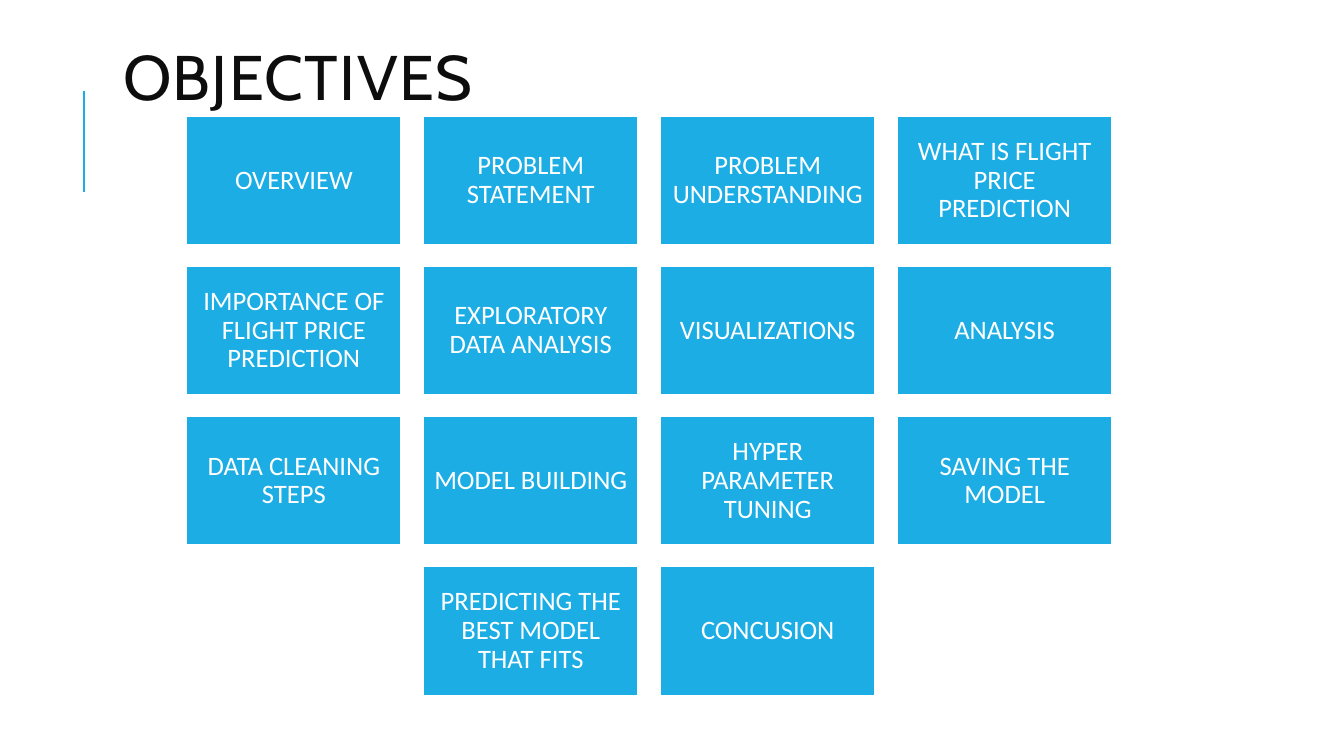
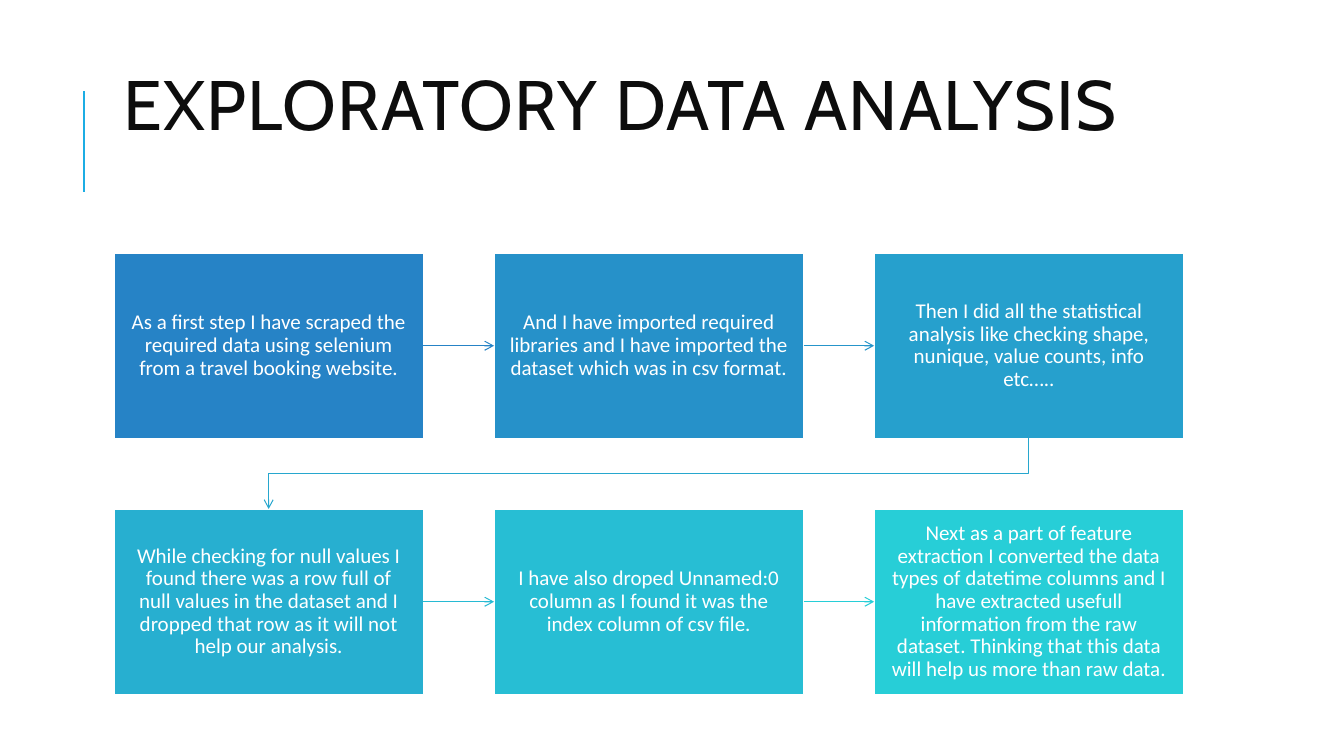
from dataclasses import dataclass

from lxml.etree import SubElement
from pptx import Presentation
from pptx.dml.color import RGBColor
from pptx.enum.shapes import MSO_CONNECTOR, MSO_SHAPE
from pptx.enum.text import MSO_ANCHOR, PP_ALIGN
from pptx.oxml.ns import qn
from pptx.util import Inches, Pt


@dataclass(frozen=True)
class Theme:
    accent: str = "1CADE4"
    ink: str = "0D0D0D"
    white: str = "FFFFFF"
    step_fills: tuple = ("2683C6", "2691C9", "26A0CD", "27AFD0", "27BED4", "27CED7")
    arrow_lines: tuple = ("2683C6", "2695CA", "27A7CE", "27BAD3", "27CED7")
    title_font: str = "Cabin"
    body_font: str = "Calibri"
    topic_size: int = 19
    step_size: int = 15
    bar_width: float = 1.5
    border_width: float = 1.25
    arrow_width: float = 0.75


theme = Theme()


def add_box(page, left, top, width, height, text, fill, size, margin):
    box = page.shapes.add_shape(
        MSO_SHAPE.RECTANGLE, Inches(left), Inches(top), Inches(width), Inches(height))
    box.shadow.inherit = False
    box.fill.solid()
    box.fill.fore_color.rgb = RGBColor.from_string(fill)
    box.line.color.rgb = RGBColor.from_string(theme.white)
    box.line.width = Pt(theme.border_width)
    frame = box.text_frame
    frame.word_wrap = True
    frame.vertical_anchor = MSO_ANCHOR.MIDDLE
    frame.margin_left = frame.margin_right = Inches(margin)
    frame.margin_top = frame.margin_bottom = Inches(margin)
    frame.text = text
    para = frame.paragraphs[0]
    para.alignment = PP_ALIGN.CENTER
    para.line_spacing = 0.9
    para.font.name = theme.body_font
    para.font.size = Pt(size)
    para.font.color.rgb = RGBColor.from_string(theme.white)
    return box


def style_line(line_shape, colour, width, arrow=True):
    """Colour a connector or open outline, remove its shadow and add an arrowhead."""
    line_shape.line.color.rgb = RGBColor.from_string(colour)
    line_shape.line.width = Pt(width)
    properties = line_shape.element.spPr
    if arrow:
        SubElement(properties.find(qn("a:ln")), qn("a:tailEnd"), type="arrow")
    if properties.find(qn("a:effectLst")) is None:
        SubElement(properties, qn("a:effectLst"))


deck = Presentation()
deck.slide_width = Inches(13.33)
deck.slide_height = Inches(7.5)
layout = deck.slide_layouts.get_by_name("Title Only")

# Titles: text, top, type size
pages = []
for heading, top, size in (("OBJECTIVES", 0.32, 45),
                           ("EXPLORATORY DATA ANALYSIS", 0.59, 50)):
    page = deck.slides.add_slide(layout)
    title = page.shapes.title
    title.left, title.top = Inches(1.12), Inches(top)
    title.width, title.height = Inches(10.63), Inches(1)
    title.text_frame.text = heading
    title.text_frame.vertical_anchor = MSO_ANCHOR.MIDDLE
    para = title.text_frame.paragraphs[0]
    para.alignment = PP_ALIGN.LEFT
    para.line_spacing = 0.8
    para.font.name = theme.title_font
    para.font.size = Pt(size)
    para.font.color.rgb = RGBColor.from_string(theme.ink)
    title.element.xpath(".//a:defRPr")[0].set("spc", "100")
    pages.append(page)
objectives_page, analysis_page = pages

# The accent bar belongs to the layout, so every page shows it
bar = objectives_page.shapes.add_connector(
    MSO_CONNECTOR.STRAIGHT, Inches(0.83), Inches(1.9), Inches(0.83), Inches(0.9))
style_line(bar, theme.accent, theme.bar_width, arrow=False)
layout.shapes.element.append(bar.element)

# Objectives: a grid of topics whose short last row is centred
topic_rows = (
    ("OVERVIEW", "PROBLEM STATEMENT", "PROBLEM UNDERSTANDING",
     "WHAT IS FLIGHT PRICE PREDICTION"),
    ("IMPORTANCE OF FLIGHT PRICE PREDICTION", "EXPLORATORY DATA ANALYSIS",
     "VISUALIZATIONS", "ANALYSIS"),
    ("DATA CLEANING STEPS", "MODEL BUILDING", "HYPER PARAMETER TUNING",
     "SAVING THE MODEL"),
    ("PREDICTING THE BEST MODEL THAT FITS", "CONCUSION"),
)
for row, topics in enumerate(topic_rows):
    indent = (len(topic_rows[0]) - len(topics)) / 2
    for column, topic in enumerate(topics):
        add_box(objectives_page, 1.85 + 2.35 * (column + indent), 1.15 + 1.49 * row,
                2.13, 1.28, topic, theme.accent, theme.topic_size, 0.08)

# Exploratory data analysis: six steps in two rows
steps = (
    "As a first step I have scraped the required data using selenium from "
    "a travel booking website.",
    "And I have imported required libraries and I have imported the dataset "
    "which was in csv format.",
    "Then I did all the statistical analysis like checking shape, nunique, "
    "value counts, info etc…..",
    "While checking for null values I found there was a row full of null values "
    "in the dataset and I dropped that row as it will not help our analysis.",
    "I have also droped Unnamed:0 column as I found it was the index column of "
    "csv file.",
    "Next as a part of feature extraction I converted the data types of datetime "
    "columns and I have extracted usefull information from the raw dataset. "
    "Thinking that this data will help us more than raw data.",
)
step_boxes = []
for index, (step, fill) in enumerate(zip(steps, theme.step_fills)):
    row, column = divmod(index, 3)
    step_boxes.append(add_box(
        analysis_page, 1.13 + 3.77 * column, 2.51 + 2.54 * row, 3.07, 1.84,
        step, fill, theme.step_size, 0.15))

for start, end, colour in zip(step_boxes, step_boxes[1:], theme.arrow_lines):
    if start.top == end.top:
        arrow = analysis_page.shapes.add_connector(MSO_CONNECTOR.STRAIGHT, 0, 0, 0, 0)
        arrow.begin_connect(start, 3)
        arrow.end_connect(end, 1)
    else:
        start_x = start.left + start.width // 2
        end_x = end.left + end.width // 2
        bottom = start.top + start.height
        middle = (bottom + end.top) // 2
        outline = analysis_page.shapes.build_freeform(start_x, bottom)
        outline.add_line_segments(
            [(start_x, middle), (end_x, middle), (end_x, end.top)], close=False)
        arrow = outline.convert_to_shape()
        arrow.fill.background()
    style_line(arrow, colour, theme.arrow_width)

deck.save("out.pptx")
